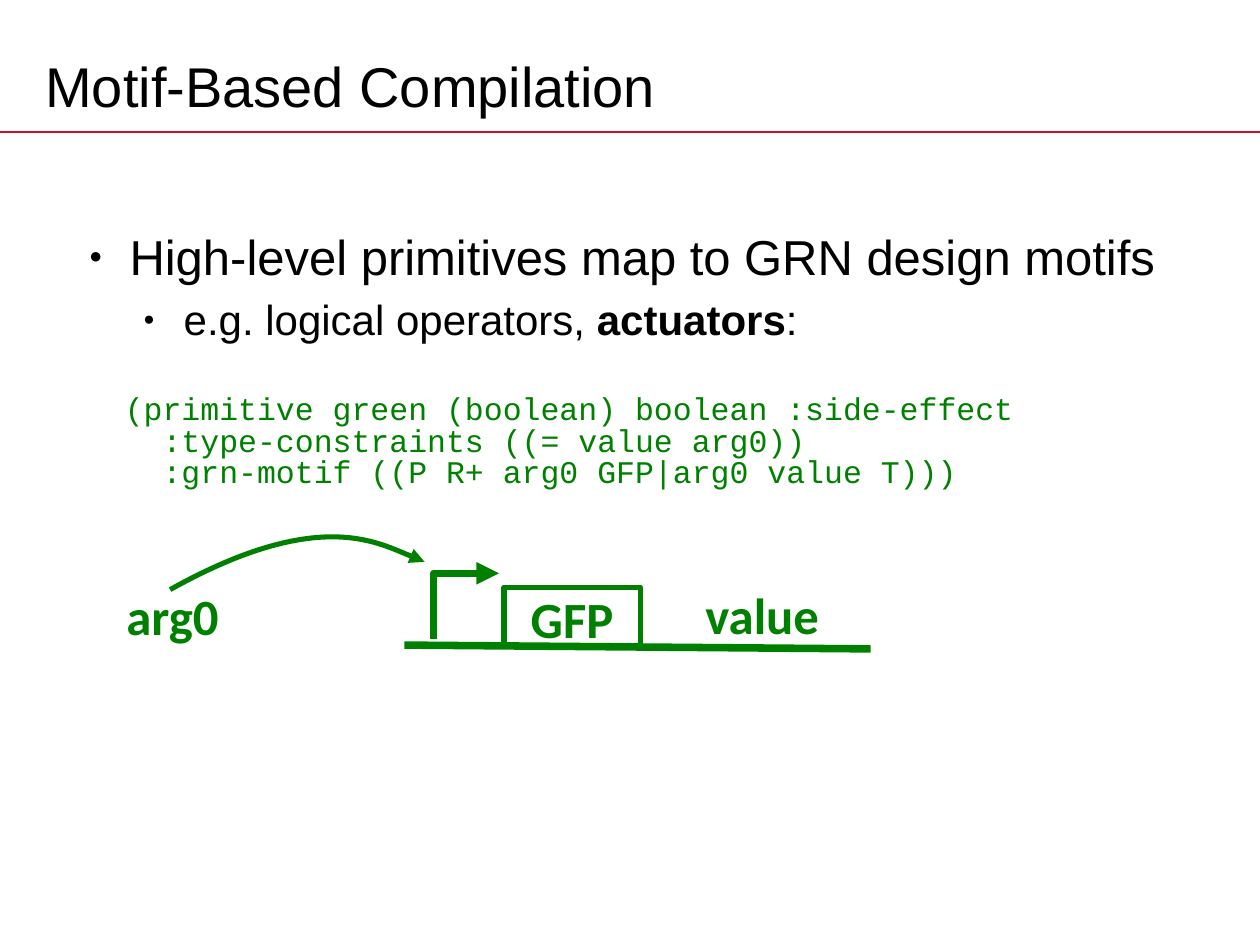
import pptx
import pptx.dml.color
import pptx.enum.shapes
import pptx.enum.text
import pptx.oxml
import pptx.oxml.ns
import pptx.util

Inches = pptx.util.Inches
Pt = pptx.util.Pt
RGBColor = pptx.dml.color.RGBColor
ALIGN = pptx.enum.text.PP_ALIGN
ANCHOR = pptx.enum.text.MSO_ANCHOR
qn = pptx.oxml.ns.qn

BLACK = RGBColor(0x00, 0x00, 0x00)
GREEN = RGBColor(0x00, 0x80, 0x00)
RED = RGBColor(0xCE, 0x11, 0x26)


def add_xml(parent, tag, **attributes):
    element = pptx.oxml.parse_xml(f"<a:{tag} {pptx.oxml.ns.nsdecls('a')}/>")
    for name, value in attributes.items():
        element.set(name, str(value))
    parent.append(element)
    return element


def write(paragraph, text, font="Arial", size=18, color=BLACK, bold=False):
    run = paragraph.add_run()
    run.text = text
    run.font.name = font
    run.font.size = Pt(size)
    run.font.bold = bold
    run.font.color.rgb = color


class SlideBuilder:
    label_style = dict(font="Calibri", size=29, color=GREEN, bold=True)
    code_style = dict(font="Courier New", size=18, color=GREEN)

    def __init__(self, presentation):
        self.slide = presentation.slides.add_slide(presentation.slide_layouts[5])
        self.shapes = self.slide.shapes

    def title(self, text, box):
        shape = self.shapes.title
        shape.left, shape.top, shape.width, shape.height = map(Inches, box)
        shape.text_frame.vertical_anchor = ANCHOR.MIDDLE
        paragraph = shape.text_frame.paragraphs[0]
        paragraph.alignment = ALIGN.LEFT
        write(paragraph, text, size=32)

    def text_box(self, box, insets=(0.1, 0.05, 0.1, 0.05)):
        frame = self.shapes.add_textbox(*map(Inches, box)).text_frame
        self.set_frame(frame, insets)
        return frame

    def set_frame(self, frame, insets):
        frame.word_wrap = True
        (frame.margin_left, frame.margin_top,
         frame.margin_right, frame.margin_bottom) = map(Inches, insets)

    def bullets(self, box, items):
        frame = self.text_box(box)
        for level, (size, runs) in enumerate(items):
            paragraph = frame.add_paragraph() if level else frame.paragraphs[0]
            paragraph.level = level
            paragraph.space_before = Pt(size * 0.2)
            properties = paragraph._p.get_or_add_pPr()
            properties.set("marL", str(Inches(0.43 * (level + 1))))
            properties.set("indent", str(Inches(-0.32)))
            add_xml(properties, "buSzPct", val=45000)
            add_xml(properties, "buFont", typeface="Arial")
            add_xml(properties, "buChar", char="●")
            for text, bold in runs:
                write(paragraph, text, size=size, bold=bold)

    def code(self, box, lines):
        frame = self.text_box(box, (0.09, 0.08, 0.09, 0.04))
        for index, line in enumerate(lines):
            paragraph = frame.add_paragraph() if index else frame.paragraphs[0]
            paragraph.line_spacing = 0.83
            write(paragraph, line, **self.code_style)

    def label(self, text, box):
        paragraph = self.text_box(box, (0.09, 0.07, 0.09, 0.04)).paragraphs[0]
        paragraph.alignment = ALIGN.CENTER
        write(paragraph, text, **self.label_style)

    def gene_box(self, text, box, width):
        shape = self.shapes.add_shape(
            pptx.enum.shapes.MSO_SHAPE.ROUNDED_RECTANGLE, *map(Inches, box))
        shape.adjustments[0] = 0
        shape.shadow.inherit = False
        shape.fill.background()
        self.set_line(shape, GREEN, width)
        frame = shape.text_frame
        self.set_frame(frame, (0.11, 0.09, 0.11, 0.06))
        frame.vertical_anchor = ANCHOR.MIDDLE
        frame.paragraphs[0].alignment = ALIGN.CENTER
        write(frame.paragraphs[0], text, **self.label_style)

    def set_line(self, shape, color, width):
        shape.line.color.rgb = color
        shape.line.width = Pt(width)

    def line(self, start, end, color, width):
        connector = self.shapes.add_connector(
            pptx.enum.shapes.MSO_CONNECTOR.STRAIGHT, *map(Inches, start + end))
        self.set_line(connector, color, width)
        add_xml(connector._element.spPr, "effectLst")

    def arrow(self, points, width, curved=False):
        """Open arrow; a curved one takes start, two control points and end."""
        start, *others = [tuple(map(Inches, point)) for point in points]
        builder = self.shapes.build_freeform(*start)
        builder.add_line_segments(others, close=False)
        shape = builder.convert_to_shape()
        shape.shadow.inherit = False
        shape.fill.background()
        self.set_line(shape, GREEN, width)
        add_xml(shape.line._get_or_add_ln(), "tailEnd", type="triangle")
        if curved:
            outline = next(shape._element.iter(qn("a:moveTo"))).getparent()
            curve = add_xml(outline, "cubicBezTo")
            for segment in outline.findall(qn("a:lnTo")):
                curve.append(segment[0])
                outline.remove(segment)


def main():
    presentation = pptx.Presentation()
    presentation.slide_width = Inches(10)
    presentation.slide_height = Inches(7.5)
    builder = SlideBuilder(presentation)

    # Heading
    builder.line((0, 1.05), (10, 1.05), RED, 1)
    builder.title("Motif-Based Compilation", (0.26, 0.3, 9, 0.75))

    # Explanation and primitive definition
    builder.bullets((0.5, 1.75, 9, 1.02), [
        (28, [("High-level primitives map to GRN design motifs", False)]),
        (24, [("e.g. logical operators, ", False), ("actuators", True), (":", False)]),
    ])
    builder.code((0.9, 3.06, 8.31, 0.54), [
        "(primitive green (boolean) boolean :side-effect",
        "  :type-constraints ((= value arg0))",
        "  :grn-motif ((P R+ arg0 GFP|arg0 value T)))",
    ])

    # Gene circuit: regulation, DNA strand, promoter and product
    builder.arrow([(1.35, 4.68), (2.55, 4.01), (3.37, 4.46), (3.37, 4.46)],
                  2.89, curved=True)
    builder.line((3.21, 5.12), (6.91, 5.15), GREEN, 4.31)
    builder.arrow([(3.44, 5.07), (3.44, 4.55), (3.96, 4.55)], 4.31)
    builder.gene_box("GFP", (4, 4.66, 1.08, 0.47), 2.89)
    builder.label("value", (5.19, 4.56, 1.72, 0.64))
    builder.label("arg0", (0.51, 4.57, 1.72, 0.64))

    presentation.save("out.pptx")


if __name__ == "__main__":
    main()
